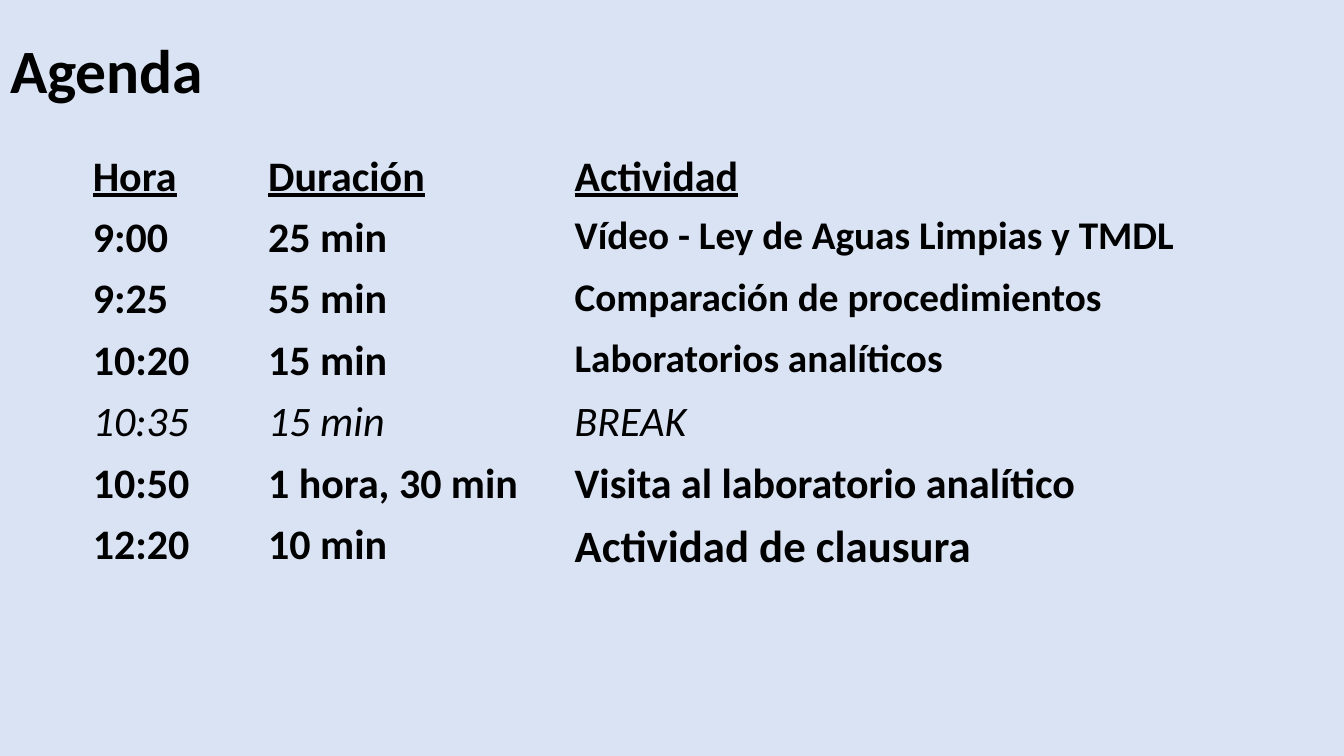
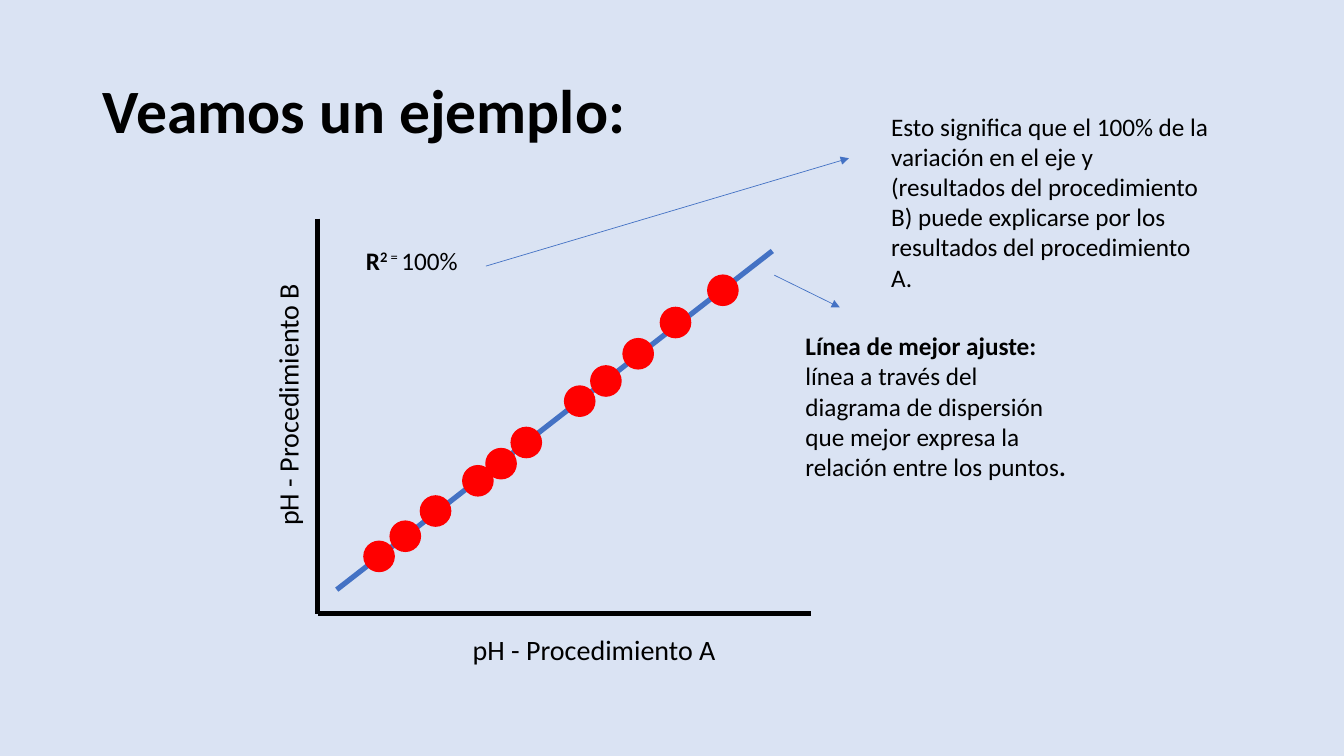
import lxml.etree
import pptx
import pptx.dml.color
import pptx.enum.shapes
import pptx.enum.text
import pptx.oxml.ns
import pptx.util

PX = 9144
FONT = "Calibri"
PALE, BLACK, BLUE, RED = "DAE3F3", "000000", "4472C4", "FF0000"
NO_GRID_STYLE = "{2D5ABB26-0587-4C30-8999-92F81FD0307C}"

AGENDA = [
    ("Hora", "Duración", "Actividad", 30),
    ("9:00", "25 min", "Vídeo - Ley de Aguas Limpias y TMDL", 28),
    ("9:25", "55 min", "Comparación de procedimientos", 28),
    ("10:20", "15 min", "Laboratorios analíticos", 28),
    ("10:35", "15 min", "BREAK", 30),
    ("10:50", "1 hora, 30 min", "Visita al laboratorio analítico", 30),
    ("12:20", "10 min", "Actividad de clausura", 32),
]
BREAK_ROW = 4
DOTS = [(46, 320), (72, 300), (102, 275), (144, 245), (167, 228), (192, 207),
        (245, 166), (271, 146), (303, 119), (340, 88), (387, 56)]


def px(*lengths):
    """Turn whole px into EMU."""
    return [pptx.util.Emu(n * PX) for n in lengths]


def rgb(value):
    """Return the colour for a hex string."""
    return pptx.dml.color.RGBColor.from_string(value)


def style(r, size, bold=False, italic=False, underline=False):
    """Format one run."""
    r.font.name, r.font.size = FONT, pptx.util.Pt(size)
    r.font.bold, r.font.italic, r.font.underline = bold, italic, underline
    r.font.color.rgb = rgb(BLACK)


def add_slide(prs, title, x, y):
    """Add a title-only slide with its title at the given corner."""
    s = prs.slides.add_slide(prs.slide_layouts[5])
    sp = s.shapes.title
    sp.left, sp.top, sp.width, sp.height = px(x, y, 1150, 145)
    tf = sp.text_frame
    tf.text = title
    tf.auto_size = pptx.enum.text.MSO_AUTO_SIZE.NONE
    tf.vertical_anchor = pptx.enum.text.MSO_ANCHOR.MIDDLE
    p = tf.paragraphs[0]
    p.alignment = pptx.enum.text.PP_ALIGN.LEFT
    p.line_spacing = 0.9
    style(p.runs[0], 44, bold=True)
    return s


def add_text(s, box, parts, size=18, wrap=True, rotation=0):
    """Add a text box from (text, bold, superscript) parts."""
    sp = s.shapes.add_textbox(*px(*box))
    sp.rotation = rotation
    tf = sp.text_frame
    tf.word_wrap = wrap
    tf.auto_size = pptx.enum.text.MSO_AUTO_SIZE.SHAPE_TO_FIT_TEXT
    for text, bold, superscript in parts:
        r = tf.paragraphs[0].add_run()
        r.text = text
        style(r, size, bold)
        if superscript:
            r.font._element.set("baseline", "30000")


def add_line(s, ends, color, width, arrow=False):
    """Add a straight line, with an arrowhead at its end if asked."""
    kind = pptx.enum.shapes.MSO_CONNECTOR.STRAIGHT
    line = s.shapes.add_connector(kind, *px(*ends))
    line.line.color.rgb = rgb(color)
    line.line.width = pptx.util.Pt(width)
    qn = pptx.oxml.ns.qn
    if arrow:
        lxml.etree.SubElement(line.line._get_or_add_ln(), qn("a:tailEnd"), type="triangle")
    lxml.etree.SubElement(line._element.spPr, qn("a:effectLst"))


def add_dot(s, x, y, size=30):
    """Add one data point."""
    sp = s.shapes.add_shape(pptx.enum.shapes.MSO_SHAPE.OVAL, *px(x, y, size, size))
    sp.shadow.inherit = False
    sp.fill.solid()
    sp.fill.fore_color.rgb = rgb(RED)
    sp.line.color.rgb = rgb(RED)
    sp.line.width = pptx.util.Pt(1)


def add_agenda(s, x, y, widths, row_height):
    """Add the agenda table at the given corner."""
    box = px(x, y, sum(widths), row_height * len(AGENDA))
    table = s.shapes.add_table(len(AGENDA), len(widths), *box).table
    table.first_row = table.horz_banding = False
    table._tbl.tblPr.find(pptx.oxml.ns.qn("a:tableStyleId")).text = NO_GRID_STYLE
    for column, width in zip(table.columns, px(*widths)):
        column.width = width
    for i, (*texts, activity_size) in enumerate(AGENDA):
        for j, (text, size) in enumerate(zip(texts, (30, 30, activity_size))):
            cell = table.cell(i, j)
            cell.fill.background()
            cell.text = text
            style(cell.text_frame.paragraphs[0].runs[0], size, bold=i != BREAK_ROW,
                  italic=i == BREAK_ROW, underline=i == 0)


def add_scatter(s, x, y, w, h):
    """Add the axes, fitted line, axis titles and points in a box."""
    bottom = y + h
    add_line(s, (x, y, x, bottom), BLACK, 3.5)
    add_line(s, (x + w, bottom, x, bottom), BLACK, 3.5)
    add_line(s, (x + 19, bottom - 24, x + 451, y + 32), BLUE, 3.75)
    add_text(s, (x + 144, bottom + 14, 270, 44),
             [("pH - Procedimiento A", False, False)], 20, wrap=False)
    add_text(s, (x - 164, y + 158, 269, 44),
             [("pH - Procedimiento B", False, False)], 20, wrap=False, rotation=270)
    for dx, dy in DOTS:
        add_dot(s, x + dx, y + dy)
    add_text(s, (x + 38, y + 21, 121, 40),
             [("R", True, False), ("2 ", True, True), ("= ", False, True),
              ("100%", False, False)], wrap=False)


def add_notes_beside(s, x, y):
    """Add the two explanations and the arrows that lead to them."""
    add_line(s, (x - 21, y + 168, x + 44, y + 200), BLUE, 0.5, arrow=True)
    add_text(s, (x, y + 218, 279, 162),
             [("Línea de mejor ajuste: ", True, False),
              ("línea a través del diagrama de dispersión que mejor expresa "
               "la relación entre los puntos", False, False),
              (".", True, False)])
    add_line(s, (x - 307, y + 159, x + 53, y + 52), BLUE, 0.5, arrow=True)
    add_text(s, (x + 85, y, 336, 192),
             [("Esto significa que el 100% de la variación en el eje y "
               "(resultados del procedimiento B) puede explicarse por los "
               "resultados del procedimiento A.", False, False)])


def main():
    """Build and save the presentation."""
    prs = pptx.Presentation()
    prs.slide_width, prs.slide_height = px(1333, 750)
    fill = prs.slide_master.background.fill
    fill.solid()
    fill.fore_color.rgb = rgb(PALE)

    s = add_slide(prs, "Agenda", 0, 0)
    add_agenda(s, 82, 145, (174, 304, 673), 41)

    s = add_slide(prs, "Veamos un ejemplo:", 92, 40)
    add_scatter(s, 315, 217, 489, 392)
    add_notes_beside(s, 789, 105)
    prs.save("out.pptx")


if __name__ == "__main__":
    main()
